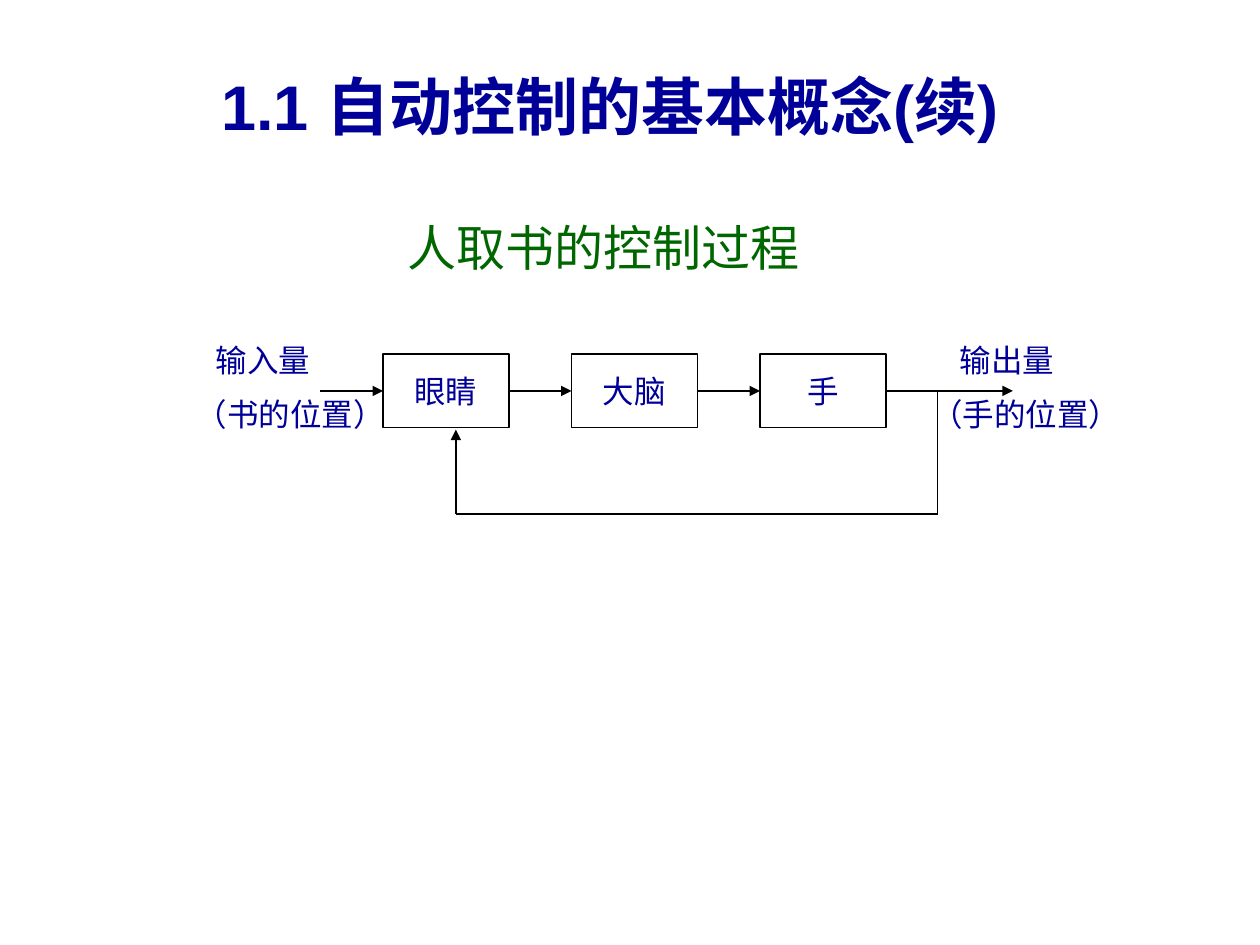
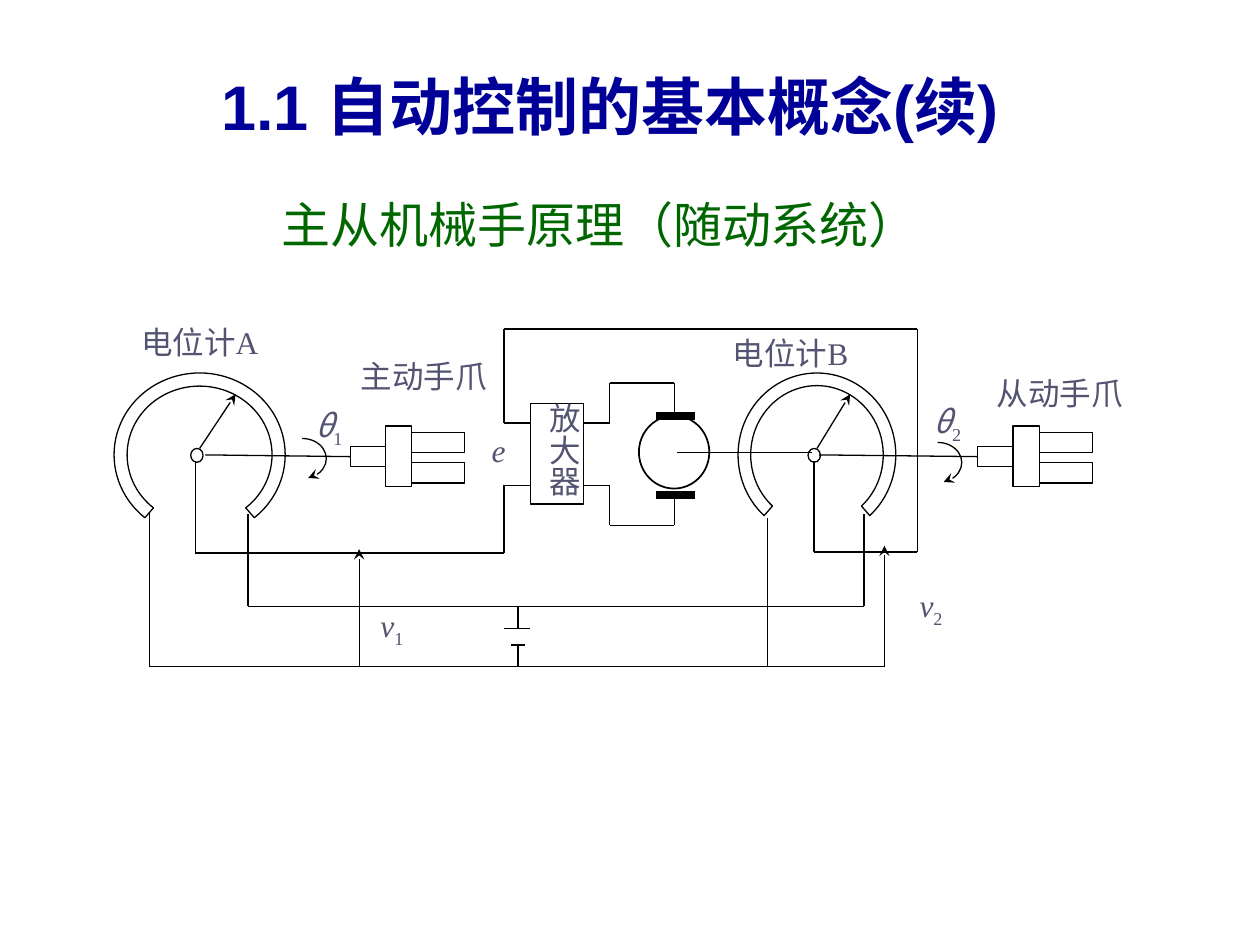
from collections import namedtuple

import pptx
import pptx.util
import pptx.dml.color
import pptx.enum.shapes
import pptx.enum.text
import pptx.oxml.ns
from lxml import etree

Cm, Pt = pptx.util.Cm, pptx.util.Pt
SHAPE = pptx.enum.shapes.MSO_SHAPE
ALIGN = pptx.enum.text.PP_ALIGN
ANCHOR = pptx.enum.text.MSO_ANCHOR
qn = pptx.oxml.ns.qn

COLORS = {"heading": "000099", "topic": "006600", "label": "545472", "line": "000000"}
CJK = "Noto Sans CJK SC"
SERIF = "Times New Roman"
SANS = "Arial"
HEADING = "1.1 自动控制的基本概念(续)"

Box = namedtuple("Box", "left top width height")


def within(box, left, top, width, height):
    return Box(box.left + left, box.top + top, width, height)


def rgb(name):
    return pptx.dml.color.RGBColor.from_string(COLORS[name])


def style(paragraph, size, color, font, align=ALIGN.CENTER, bold=False):
    paragraph.alignment = align
    paragraph.font.size = Pt(size)
    paragraph.font.bold = bold
    paragraph.font.color.rgb = rgb(color)
    paragraph.font.name = font
    defaults = paragraph._p.get_or_add_pPr().find(qn("a:defRPr"))
    etree.SubElement(defaults, qn("a:ea")).set("typeface", CJK)


def set_margins(frame, horizontal, vertical):
    frame.margin_left = frame.margin_right = Cm(horizontal)
    frame.margin_top = frame.margin_bottom = Cm(vertical)


def add_label(slide, box, text, size=18, color="label", font=SERIF,
              align=ALIGN.CENTER, bold=False, anchor=ANCHOR.TOP, margins=(0, 0.2)):
    frame = slide.shapes.add_textbox(*map(Cm, box)).text_frame
    frame.word_wrap = True
    frame.vertical_anchor = anchor
    set_margins(frame, *margins)
    frame.text = text
    for paragraph in frame.paragraphs:
        style(paragraph, size, color, font, align, bold)
    return frame


def add_symbol(slide, box, letter, index, font=SERIF):
    """Write an italic letter with an upright subscript."""
    frame = add_label(slide, box, letter, margins=(0, 0))
    paragraph = frame.paragraphs[0]
    paragraph.runs[0].font.italic = True
    paragraph.runs[0].font.name = font
    subscript = paragraph.add_run()
    subscript.text = index
    subscript._r.get_or_add_rPr().set("baseline", "-25000")


def add_arrowhead(outline, kind):
    etree.SubElement(outline.line._get_or_add_ln(), qn("a:tailEnd")).set("type", kind)


def add_outline(slide, kind, box, width=0.75):
    shape = slide.shapes.add_shape(kind, *map(Cm, box))
    shape.shadow.inherit = False
    shape.fill.background()
    shape.line.color.rgb = rgb("line")
    shape.line.width = Pt(width)
    return shape


def add_wire(slide, box, *points, width=0.75, head=None):
    """Join the points by straight lines; return the last one, which bears the head."""
    for (x1, y1), (x2, y2) in zip(points, points[1:]):
        segment = slide.shapes.add_connector(
            pptx.enum.shapes.MSO_CONNECTOR.STRAIGHT,
            Cm(box.left + x1), Cm(box.top + y1), Cm(box.left + x2), Cm(box.top + y2))
        segment.line.color.rgb = rgb("line")
        segment.line.width = Pt(width)
        etree.SubElement(segment._element.spPr, qn("a:effectLst"))
    if head:
        add_arrowhead(segment, head)
    return segment


def add_topic_slide(deck, topic, box):
    slide = deck.slides.add_slide(deck.slide_layouts[5])
    title = slide.shapes.title
    title.left, title.top, title.width, title.height = map(Cm, box)
    title.text_frame.text = topic
    title.text_frame.vertical_anchor = ANCHOR.MIDDLE
    style(title.text_frame.paragraphs[0], 28, "topic", SANS)
    add_label(slide, Box(1.5, 0.53, 21.59, 3.18), HEADING, 36, "heading", SANS,
              bold=True, anchor=ANCHOR.MIDDLE, margins=(0.25, 0.13))
    return slide


def draw_control_loop(slide, box):
    axis, feedback = 1.18, 3.66
    blocks = []
    for i, organ in enumerate(("眼睛", "大脑", "手")):
        block = add_outline(slide, SHAPE.RECTANGLE,
                            within(box, 4.02 + 3.8 * i, axis - 0.74, 2.54, 1.48))
        block.text_frame.text = organ
        block.text_frame.vertical_anchor = ANCHOR.MIDDLE
        style(block.text_frame.paragraphs[0], 18, "heading", CJK)
        blocks.append(block)

    stops = [None, *blocks, None]
    starts_ends = [(2.75, 4.02), (6.56, 7.82), (10.36, 11.62), (14.16, 16.72)]
    for before, after, (start, end) in zip(stops, stops[1:], starts_ends):
        arrow = add_wire(slide, box, (start, axis), (end, axis), head="triangle")
        if before:
            arrow.begin_connect(before, 3)
        if after:
            arrow.end_connect(after, 1)
    add_wire(slide, box, (15.2, axis), (15.2, feedback), (5.49, feedback),
             (5.49, 1.96), head="triangle")

    for left, indent, quantity in ((0, 0.4, "输入量\n（书的位置）"),
                                   (14.82, 0.58, "输出量\n（手的位置）")):
        frame = add_label(slide, within(box, left, 0.05, 5.08, 2.31), quantity,
                          color="heading", font=CJK, align=ALIGN.LEFT,
                          margins=(0.25, 0.13))
        name, meaning = frame.paragraphs
        name._p.get_or_add_pPr().set("indent", str(Cm(indent)))
        meaning.space_before = Pt(9)


def draw_potentiometer(slide, box):
    """Draw the open ring, its hub and the wiper arrow."""
    ring = add_outline(slide, SHAPE.BLOCK_ARC, box)
    ring.adjustments[0] = 131 * 0.6
    ring.adjustments[1] = 49 * 0.6
    ring.adjustments[2] = 0.08
    centre = box.width / 2
    add_outline(slide, SHAPE.OVAL, within(box, centre - 0.18, 1.52, 0.25, 0.28))
    add_wire(slide, box, (centre, 1.52), (centre + 0.21 * box.width, 0.43),
             head="stealth")


def draw_gripper(slide, box):
    """Draw wrist, palm and two fingers; return the wrist."""
    wrist, *_ = [
        add_outline(slide, SHAPE.RECTANGLE, within(box, *part))
        for part in ((0, 0.41, 0.71, 0.41), (0.71, 0, 0.53, 1.22),
                     (1.24, 0.13, 1.07, 0.41), (1.24, 0.74, 1.07, 0.41))]
    return wrist


def draw_rotation(slide, box):
    turn = add_outline(slide, SHAPE.ARC, box)
    turn.adjustments[0] = 270 * 0.6
    turn.adjustments[1] = 73 * 0.6
    add_arrowhead(turn, "stealth")


def draw_arm(slide, box, potentiometer, shaft, gripper, rotation):
    """Draw one manipulator side: potentiometer, shaft, gripper and turning arrow."""
    draw_potentiometer(slide, within(box, *potentiometer))
    wrist = draw_gripper(slide, within(box, gripper, 2.29, 2.31, 1.22))
    add_wire(slide, box, (shaft, 2.87), (gripper, 2.87)).end_connect(wrist, 1)
    draw_rotation(slide, within(box, *rotation, 0.97, 0.81))


def draw_amplifier_and_motor(slide, box):
    amplifier = add_outline(slide, SHAPE.RECTANGLE, within(box, 8.39, 1.83, 1.07, 2.03))
    frame = amplifier.text_frame
    frame.text = "放大器"
    frame.vertical_anchor = ANCHOR.TOP
    set_margins(frame, 0, 0)
    frame._txBody.bodyPr.set("vert", "eaVert")
    style(frame.paragraphs[0], 18, "label", SERIF)

    add_outline(slide, SHAPE.OVAL, within(box, 10.58, 2.08, 1.42, 1.47), 1)
    for terminal, turn, brush in ((2.23, 1.42, 2.08), (3.48, 4.29, 3.68)):
        add_wire(slide, box, (10.93, brush), (11.72, brush), width=4.5)
        add_wire(slide, box, (9.46, terminal), (9.99, terminal), (9.99, turn),
                 (11.29, turn), (11.29, brush))
    add_wire(slide, box, (11.34, 2.82), (14.06, 2.82))


def draw_wiring(slide, box):
    supply, ground = 5.92, 7.14
    # Wiper signals to the amplifier input
    add_wire(slide, box, (1.64, 3), (1.64, 4.85), (7.86, 4.85), (7.86, 3.48), (8.39, 3.48))
    add_wire(slide, box, (14.11, 3), (14.11, 4.83), (16.19, 4.83), (16.19, 0.33),
             (7.86, 0.33), (7.86, 2.23), (8.39, 2.23))
    # Common supply of both potentiometers
    add_wire(slide, box, (2.7, 4.06), (2.7, supply), (15.12, supply), (15.12, 4.06))
    add_wire(slide, box, (0.72, 4.04), (0.72, ground), (13.17, ground), (13.17, 4.14))
    # Measured voltages
    add_wire(slide, box, (13.17, ground), (15.53, ground), (15.53, 4.7), head="stealth")
    add_wire(slide, box, (4.94, ground), (4.94, 4.77), head="stealth")
    # Battery
    add_wire(slide, box, (8.14, supply), (8.14, 6.37))
    add_wire(slide, box, (7.86, 6.37), (8.39, 6.37))
    add_wire(slide, box, (8, 6.7), (8.28, 6.7), width=1.5)
    add_wire(slide, box, (8.14, 6.7), (8.14, ground))


def label_servo(slide, box):
    for text, left, top, width in (("主动手爪", 4.43, 0.69, 3.63),
                                   ("从动手爪", 17.72, 1.04, 2.69),
                                   ("电位计A", 0.27, 0.02, 2.92),
                                   ("电位计B", 12.18, 0.23, 2.92)):
        add_label(slide, within(box, left, top, width, 1.22), text)
    for letter, index, left, top, font in (("v", "1", 4.94, 5.92, SERIF),
                                           ("v", "2", 15.81, 5.51, SERIF),
                                           ("θ", "1", 3.67, 1.88, CJK),
                                           ("θ", "2", 16.14, 1.8, CJK)):
        add_symbol(slide, within(box, left, top, 1.32, 0.81), letter, index, font)
    error = add_label(slide, within(box, 7.61, 2.18, 1.07, 1.22), "e", align=ALIGN.LEFT)
    error.paragraphs[0].font.italic = True


def draw_servo(slide, box):
    draw_arm(slide, box, potentiometer=(0, 1.22, 3.45, 3.3), shaft=1.84,
             gripper=4.76, rotation=(3.31, 2.54))
    draw_arm(slide, box, potentiometer=(12.58, 1.22, 3.18, 3.3), shaft=14.21,
             gripper=17.41, rotation=(16.12, 2.62))
    draw_amplifier_and_motor(slide, box)
    draw_wiring(slide, box)
    label_servo(slide, box)


def main():
    deck = pptx.Presentation()
    deck.slide_width, deck.slide_height = Cm(25.4), Cm(19.05)

    reaching = add_topic_slide(deck, "人取书的控制过程", Box(3.38, 3.38, 17.58, 3.18))
    draw_control_loop(reaching, Box(3.7, 6.7, 19.9, 3.7))

    manipulator = add_topic_slide(deck, "主从机械手原理（随动系统）",
                                  Box(3.3, 2.92, 17.58, 3.18))
    draw_servo(manipulator, Box(2.3, 6.3, 20.4, 7.2))

    deck.save("out.pptx")


if __name__ == "__main__":
    main()
